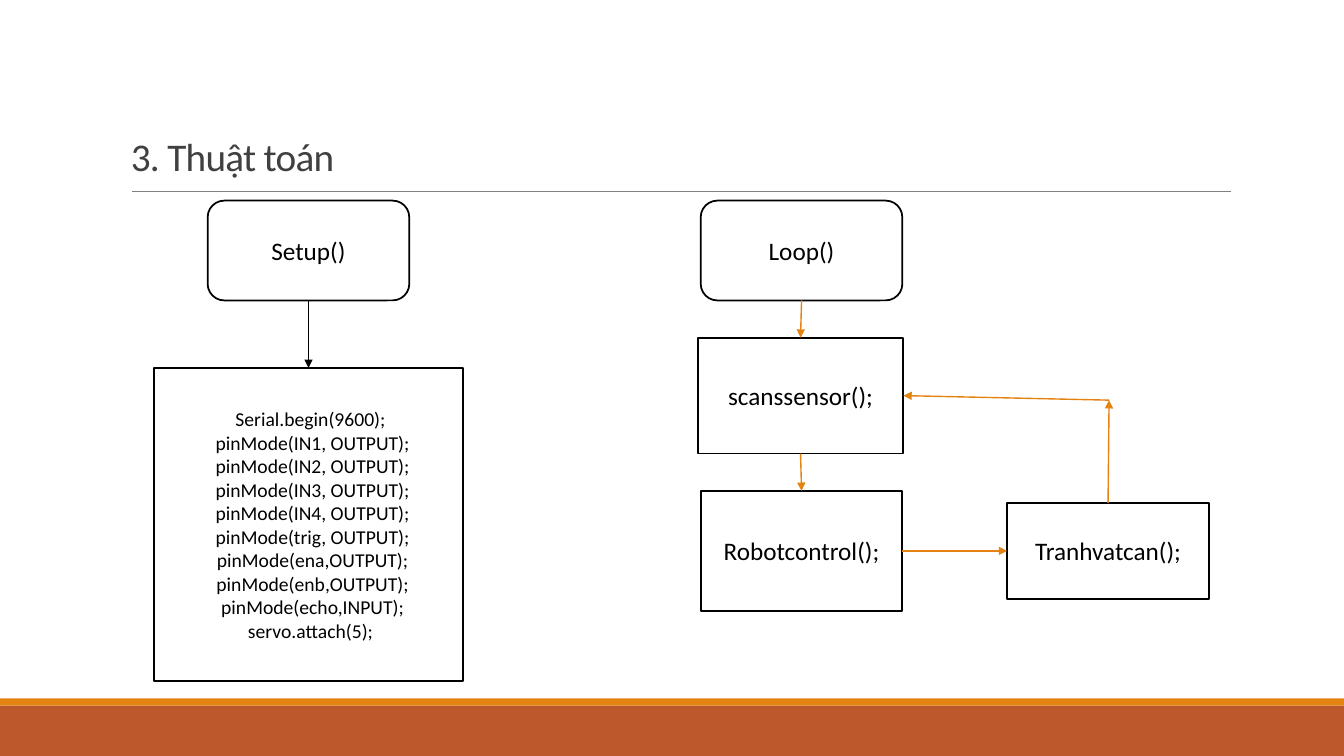
"""Build the slide on the robot's algorithm: setup steps and the main loop."""
import pptx
import pptx.dml.color
import pptx.enum.shapes
import pptx.enum.text
import pptx.oxml.ns
import pptx.util
from lxml import etree

PX = 9144
RGB = pptx.dml.color.RGBColor.from_string
SHAPES = pptx.enum.shapes.MSO_SHAPE
ALIGN = pptx.enum.text.PP_ALIGN
ANCHOR = pptx.enum.text.MSO_ANCHOR
STRAIGHT = pptx.enum.shapes.MSO_CONNECTOR.STRAIGHT

theme = {
    "font": "Calibri", "paper": "FFFFFF", "ink": "000000", "title": "404040",
    "rule": "808080", "accent": "E48312", "footer": "BD582C",
    "title_size": 28, "step_size": 18, "code_size": 14,
    "outline": 1.25, "flow": 1, "rule_width": 0.5,
}


def write_lines(shape, lines, size, color, frame_format, paragraph_format):
    frame = shape.text_frame
    for name, value in frame_format.items():
        setattr(frame, name, value)
    for index, (text, indent) in enumerate(lines):
        paragraph = frame.paragraphs[0] if index == 0 else frame.add_paragraph()
        for name, value in paragraph_format.items():
            setattr(paragraph, name, value)
        if indent:
            paragraph._p.get_or_add_pPr().set("marL", str(pptx.util.Pt(indent)))
        run = paragraph.add_run()
        run.text = text
        for name, value in {"name": theme["font"], "size": pptx.util.Pt(size)}.items():
            setattr(run.font, name, value)
        run.font.color.rgb = RGB(color)


def add_line(start, end, color, width, arrow=True):
    line = slide.shapes.add_connector(STRAIGHT, *(value * PX for value in start + end))
    line.line.color.rgb = RGB(color)
    line.line.width = pptx.util.Pt(width)
    if arrow:
        etree.SubElement(line.line._get_or_add_ln(), pptx.oxml.ns.qn("a:tailEnd"), type="triangle")
    etree.SubElement(line._element.spPr, pptx.oxml.ns.qn("a:effectLst"))
    return line


presentation = pptx.Presentation()
presentation.slide_width = 1333 * PX
presentation.slide_height = 750 * PX
slide = presentation.slides.add_slide(presentation.slide_layouts[6])

for top, height, color in ((700, 50, "footer"), (693, 7, "accent")):
    band = slide.shapes.add_shape(SHAPES.RECTANGLE, 0, top * PX, presentation.slide_width, height * PX)
    band.shadow.inherit = False
    band.fill.solid()
    band.fill.fore_color.rgb = RGB(theme[color])
    band.line.fill.background()

add_line((131, 190), (1221, 190), theme["rule"], theme["rule_width"], arrow=False)

title = slide.shapes.add_textbox(120 * PX, 31 * PX, 1100 * PX, 152 * PX)
write_lines(title, [("3. Thuật toán", 0)], theme["title_size"], theme["title"],
            {"word_wrap": True, "vertical_anchor": ANCHOR.BOTTOM}, {"line_spacing": 0.85})
title.text_frame.paragraphs[0].runs[0].font._element.set("spc", "-50")

outputs = ["IN1, OUTPUT", "IN2, OUTPUT", "IN3, OUTPUT", "IN4, OUTPUT", "trig, OUTPUT",
           "ena,OUTPUT", "enb,OUTPUT", "echo,INPUT"]
setup_code = [("Serial.begin(9600);", 3)]
setup_code += [(f"pinMode({pin});", 6) for pin in outputs]
setup_code += [("servo.attach(5);", 3)]

boxes = {
    "setup_code": (SHAPES.RECTANGLE, (153, 365, 306, 311), setup_code, "code_size"),
    "setup": (SHAPES.ROUNDED_RECTANGLE, (206, 199, 200, 99), [("Setup()", 0)], "step_size"),
    "loop": (SHAPES.ROUNDED_RECTANGLE, (695, 199, 200, 99), [("Loop()", 0)], "step_size"),
    "scan": (SHAPES.RECTANGLE, (692, 335, 204, 115), [("scanssensor();", 0)], "step_size"),
    "control": (SHAPES.RECTANGLE, (695, 487, 200, 119), [("Robotcontrol();", 0)], "step_size"),
    "avoid": (SHAPES.RECTANGLE, (999, 499, 200, 95), [("Tranhvatcan();", 0)], "step_size"),
}
nodes = {}
for name, (kind, bounds, lines, size) in boxes.items():
    box = slide.shapes.add_shape(kind, *(value * PX for value in bounds))
    box.shadow.inherit = False
    box.fill.solid()
    box.fill.fore_color.rgb = RGB(theme["paper"])
    box.line.color.rgb = RGB(theme["ink"])
    box.line.width = pptx.util.Pt(theme["outline"])
    write_lines(box, lines, theme[size], theme["ink"],
                {"word_wrap": True, "vertical_anchor": ANCHOR.MIDDLE}, {"alignment": ALIGN.CENTER})
    nodes[name] = box

TOP, LEFT, BOTTOM, RIGHT = range(4)
corner = (1100, 397)
flows = [
    (("setup", BOTTOM), ("setup_code", TOP), "ink", "outline"),
    (("loop", BOTTOM), ("scan", TOP), "accent", "flow"),
    (("scan", BOTTOM), ("control", TOP), "accent", "flow"),
    (("control", RIGHT), ("avoid", LEFT), "accent", "flow"),
    (("avoid", TOP), None, "accent", "flow"),
    (None, ("scan", RIGHT), "accent", "flow"),
]
for start, end, color, width in flows:
    arrow = add_line(corner, corner, theme[color], theme[width])
    if start:
        arrow.begin_connect(nodes[start[0]], start[1])
    if end:
        arrow.end_connect(nodes[end[0]], end[1])

presentation.save("out.pptx")
